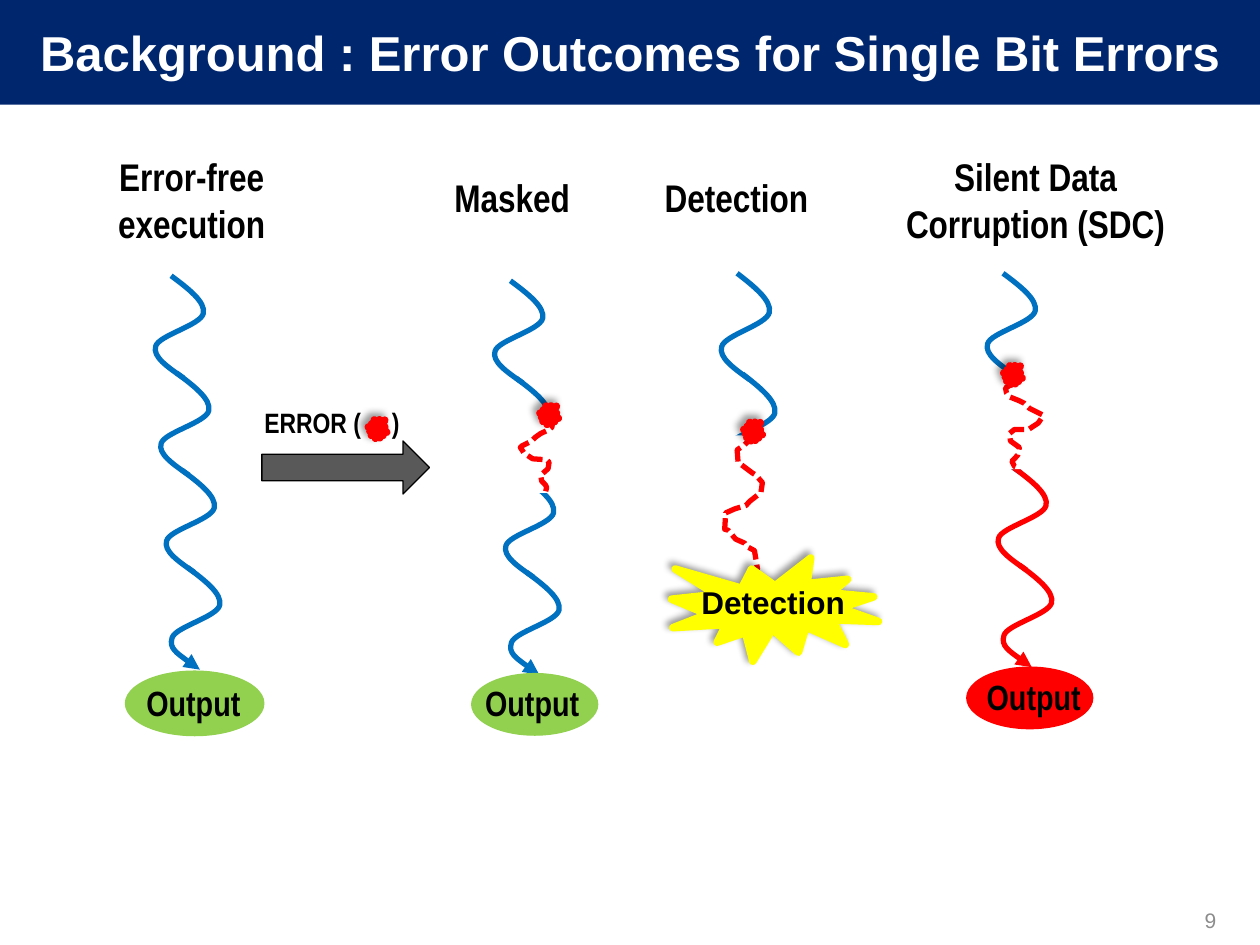
from lxml import etree
from pptx import Presentation
from pptx import util as u
from pptx.dml.color import RGBColor
from pptx.enum import dml, shapes, text
from pptx.oxml import ns, parse_xml

NAVY = RGBColor(0x00, 0x26, 0x6E)
BLUE = RGBColor(0x00, 0x70, 0xC0)
RED = RGBColor(0xFF, 0x00, 0x00)
GREEN = RGBColor(0x92, 0xD0, 0x50)
YELLOW = RGBColor(0xFF, 0xFF, 0x00)
WHITE = RGBColor(0xFF, 0xFF, 0xFF)
BLACK = RGBColor(0x00, 0x00, 0x00)
DARK_GRAY = RGBColor(0x59, 0x59, 0x59)
LIGHT_GRAY = RGBColor(0x8C, 0x8C, 0x8C)

TITLE = "Background : Error Outcomes for Single Bit Errors"
WAVE = [(0, 0), (.35, .26), (.7, .53), (.65, .76), (.59, 1), (-.25, 1.2),
        (-.31, 1.42), (-.38, 1.63), (-.07, 1.84), (.25, 2.06)]
WAVE_DRIFT = .11

PANELS = [
    {"start": (3.45, 5.56), "pitch": 1.96, "stretch": 1, "waves": [BLUE] * 4,
     "output": (2.53, 13.53, 2.79, 1.3), "output_fill": GREEN},
    {"start": (10.29, 5.66), "pitch": 1.96, "stretch": 1, "waves": [BLUE] * 4,
     "output": (9.51, 13.58, 2.54, 1.24), "output_fill": GREEN,
     "mask": (9.31, 8.37, 2.16, 1.57), "burst": (11.07, 8.37),
     "squiggle": [(11, 8.41), (11.13, 8.48), (11.13, 8.61), (11.07, 8.66),
                  (10.9, 8.74), (10.8, 8.81), (10.72, 8.89), (10.52, 8.99),
                  (10.49, 9.02), (10.57, 9.14), (10.74, 9.25), (11.02, 9.27),
                  (11.07, 9.32), (11.05, 9.45), (10.9, 9.58), (10.92, 9.7),
                  (11, 9.78), (11.02, 9.83), (11, 9.91), (10.95, 9.93)]},
    {"start": (20.22, 5.51), "pitch": 1.96, "stretch": 1, "waves": [BLUE] * 2 + [RED] * 2,
     "output": (19.49, 13.45, 2.54, 1.24), "output_fill": RED,
     "mask": (19.75, 7.56, 1.32, 1.9), "burst": (20.42, 7.56),
     "squiggle": [(20.45, 7.72), (20.27, 7.82), (20.29, 7.92), (20.35, 8),
                  (20.55, 8.08), (20.65, 8.13), (20.75, 8.23), (21.01, 8.36),
                  (21.03, 8.38), (20.93, 8.53), (20.73, 8.66), (20.45, 8.66),
                  (20.35, 8.74), (20.37, 8.89), (20.55, 9.02), (20.52, 9.17),
                  (20.45, 9.25), (20.4, 9.3), (20.45, 9.4), (20.5, 9.42)]},
    {"start": (14.86, 5.51), "pitch": 2.03, "stretch": 1.04, "waves": [BLUE] * 2,
     "mask": (14.41, 8.78, 1.63, 2.01), "burst": (15.18, 8.7),
     "squiggle": [(15.24, 8.74), (15.01, 8.97), (14.86, 9.07), (14.88, 9.32),
                  (15.16, 9.53), (15.24, 9.58), (15.37, 9.73), (15.34, 9.93),
                  (15.11, 10.11), (15.04, 10.19), (14.81, 10.26), (14.63, 10.34),
                  (14.61, 10.67), (14.68, 10.69), (14.83, 10.87), (15.01, 10.95),
                  (15.06, 11.02), (15.21, 11.1), (15.27, 11.46), (15.21, 11.71)]},
]
ERROR_BURST = (7.61, 8.65)
ERROR_ARROW = (5.28, 8.89, 3.38, 1.07)
DETECTION_SEAL = (13.54, 11.25, 4.17, 2.08)

LEFT, CENTER, RIGHT = text.PP_ALIGN.LEFT, text.PP_ALIGN.CENTER, text.PP_ALIGN.RIGHT
LABELS = [
    ("Error-free\nexecution", (2.11, 2.97, 3.51, 2.13), 22, "Arial Narrow", CENTER),
    ("Masked", (8.89, 3.38, 2.87, 1.19), 22, "Arial Narrow", CENTER),
    ("Detection", (13.13, 3.38, 3.43, 1.19), 22, "Arial Narrow", CENTER),
    ("Silent Data\nCorruption (SDC)", (17.98, 2.97, 5.79, 2.13), 22, "Arial Narrow", CENTER),
    ("Output", (2.7, 13.61, 3.04, 1.07), 20, "Arial Narrow", LEFT),
    ("Output", (9.53, 13.61, 3.2, 0.81), 20, "Arial Narrow", LEFT),
    ("Output", (19.64, 13.49, 2.56, 1.07), 20, "Arial Narrow", LEFT),
    ("Detection", (13.87, 11.63, 3.43, 0.79), 18, "Arial", CENTER),
    ("ERROR (\t)", (5.08, 8.05, 3.38, 0.94), 16, "Arial Narrow", LEFT),
]
ERROR_TAB = 2.57


def lengths(values):
    return [u.Cm(value) for value in values]


def set_font(paragraph, size, name, color, bold, alignment):
    paragraph.alignment = alignment
    font = paragraph.font
    font.size, font.name, font.bold = u.Pt(size), name, bold
    font.color.rgb = color


def add_label(slide, words, box, size, name, alignment, color=BLACK, bold=True):
    label = slide.shapes.add_textbox(*lengths(box))
    frame = label.text_frame
    frame.word_wrap = alignment != CENTER
    frame.text = words
    for paragraph in frame.paragraphs:
        set_font(paragraph, size, name, color, bold, alignment)
        if "\t" in words:
            properties = paragraph.font._element.getparent()
            tabs = etree.Element(ns.qn("a:tabLst"))
            etree.SubElement(tabs, ns.qn("a:tab"), pos=str(u.Cm(ERROR_TAB)), algn="l")
            properties.insert(0, tabs)
    return label


def add_filled(slide, kind, box, fill, line=None, width=0.75):
    shape = slide.shapes.add_shape(kind, *lengths(box))
    shape.shadow.inherit = False
    shape.fill.solid()
    shape.fill.fore_color.rgb = fill
    if line is None:
        shape.line.fill.background()
    else:
        shape.line.color.rgb = line
        shape.line.width = u.Pt(width)
    return shape


def add_seal(slide, box, color):
    seal = add_filled(slide, shapes.MSO_SHAPE.EXPLOSION1, box, color, color, 4.32)
    effects = seal._element.spPr.find(ns.qn("a:effectLst"))
    shadow = etree.SubElement(effects, ns.qn("a:outerShdw"), blurRad=str(u.Pt(4)),
                              dist=str(u.Pt(3)), dir=str(225 * 60000))
    black = etree.SubElement(shadow, ns.qn("a:srgbClr"), val="000000")
    etree.SubElement(black, ns.qn("a:alpha"), val="40000")
    return seal


def add_burst(slide, center):
    side = .37
    box = (center[0] - side / 2, center[1] - side / 2, side, side)
    add_seal(slide, box, RED).rotation = 90


def add_path(slide, points, color):
    points = [lengths(point) for point in points]
    builder = slide.shapes.build_freeform(*points[0])
    builder.add_line_segments(points[1:], close=False)
    trace = builder.convert_to_shape()
    trace.shadow.inherit = False
    trace.fill.background()
    trace.line.color.rgb = color
    trace.line.width = u.Pt(3)
    return trace


def add_wave(slide, start, stretch, color, arrow):
    points = [(start[0] + x, start[1] + y * stretch) for x, y in WAVE]
    wave = add_path(slide, points, color)
    segments = list(wave._element.iter(ns.qn("a:lnTo")))
    for first in range(0, len(segments), 3):
        curve = etree.Element(ns.qn("a:cubicBezTo"))
        segments[first].addprevious(curve)
        for segment in segments[first:first + 3]:
            curve.append(segment[0])
            segment.getparent().remove(segment)
    if arrow:
        etree.SubElement(wave.line._get_or_add_ln(), ns.qn("a:tailEnd"), type="triangle")


def add_panel(slide, panel):
    left, top = panel["start"]
    last = len(panel["waves"]) - 1
    for index, color in enumerate(panel["waves"]):
        start = (left + index * WAVE_DRIFT, top + index * panel["pitch"])
        add_wave(slide, start, panel["stretch"], color, "output" in panel and index == last)
    if "output" in panel:
        fill = panel["output_fill"]
        add_filled(slide, shapes.MSO_SHAPE.OVAL, panel["output"], fill, fill)
    if "squiggle" in panel:
        add_filled(slide, shapes.MSO_SHAPE.RECTANGLE, panel["mask"], WHITE)
        squiggle = add_path(slide, panel["squiggle"], RED)
        squiggle.line.dash_style = dml.MSO_LINE.SQUARE_DOT
        add_burst(slide, panel["burst"])


def main():
    presentation = Presentation()
    presentation.slide_width, presentation.slide_height = lengths((25.4, 19.05))
    slide = presentation.slides.add_slide(presentation.slide_layouts[5])
    title = slide.shapes.title
    title.left, title.top, title.width, title.height = lengths((0, 0, 25.4, 2.11))
    title.fill.solid()
    title.fill.fore_color.rgb = NAVY
    title.text_frame.text = TITLE
    title.text_frame.auto_size = text.MSO_AUTO_SIZE.NONE
    title.text_frame.vertical_anchor = text.MSO_ANCHOR.MIDDLE
    set_font(title.text_frame.paragraphs[0], 28, "Arial", WHITE, True, CENTER)
    for panel in PANELS:
        add_panel(slide, panel)
    add_seal(slide, DETECTION_SEAL, YELLOW)
    add_filled(slide, shapes.MSO_SHAPE.RIGHT_ARROW, ERROR_ARROW, DARK_GRAY, BLACK)
    for label in LABELS:
        add_label(slide, *label)
    add_burst(slide, ERROR_BURST)
    number = add_label(slide, "9", (18.85, 18.03, 5.92, 1.02), 12, "Arial", RIGHT, LIGHT_GRAY, False)
    number.text_frame.vertical_anchor = text.MSO_ANCHOR.MIDDLE
    presentation.save("out.pptx")


if __name__ == "__main__":
    main()
